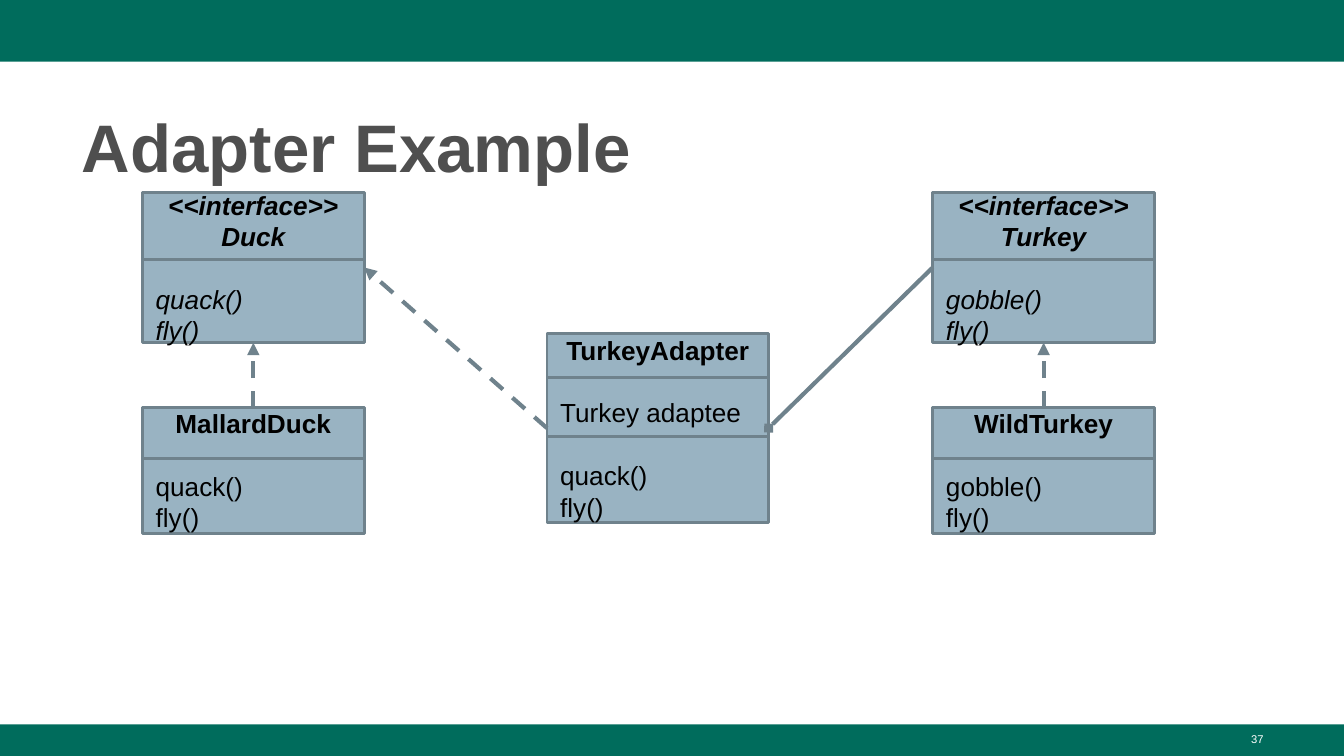
from pptx import Presentation
from pptx.dml.color import RGBColor
from pptx.enum import dml, shapes, text
from pptx.oxml.ns import qn
from pptx.util import Pt
from lxml import etree

THEME = dict(font="Arial", band="006C5C", title="4F4F4F", fill="99B3C2",
             line="6F828C", ink="000000", page="FFFFFF",
             head=36, body=14, small=6, thin=1.5, thick=2.25)
WIDE, HIGH = 720, 405
BANDS = [(0, 33.1), (388.1, 16.9)]  # top, height
TITLE = "Adapter Example"
PAGE = "37"
BOX = 118.8
GAP = 16.8  # one text line between compartments
LEFT, MID, RIGHT = 76.3, 293, 499.7
UPPER = dict(top=103, high=80.6, rules=[36], slant=True)
LOWER = dict(top=218.2, high=67.7, rules=[27.6], slant=False)
ADAPT = dict(top=178.6, high=101.5, rules=[23.8, 55.4], slant=False)

# key: (left, row, compartments)
CLASSES = {
    "duck": (LEFT, UPPER, [["<<interface>> Duck"], ["quack()", "fly()"]]),
    "mallard": (LEFT, LOWER, [["MallardDuck"], ["quack()", "fly()"]]),
    "turkey": (RIGHT, UPPER, [["<<interface>> Turkey"], ["gobble()", "fly()"]]),
    "wild": (RIGHT, LOWER, [["WildTurkey"], ["gobble()", "fly()"]]),
    "adapter": (MID, ADAPT, [["TurkeyAdapter"], ["Turkey adaptee"],
                             ["quack()", "fly()"]]),
}
TOP, WEST, SOUTH, EAST = range(4)
# from, side, to, side, dashed, end tag, end type
LINKS = [
    ("mallard", TOP, "duck", SOUTH, True, "a:tailEnd", "triangle"),
    ("wild", TOP, "turkey", SOUTH, True, "a:tailEnd", "triangle"),
    ("adapter", WEST, "duck", EAST, True, "a:tailEnd", "triangle"),
    ("adapter", EAST, "turkey", WEST, False, "a:headEnd", "diamond"),
]


def tint(name):
    return RGBColor.from_string(THEME[name])


def style(para, size, color, bold=False, slant=False):
    font = para.font
    font.name, font.size = THEME["font"], Pt(THEME[size])
    font.bold, font.italic = bold, slant
    font.color.rgb = tint(color)


def rect(slide, left, top, wide, high, fill):
    box = slide.shapes.add_shape(shapes.MSO_SHAPE.RECTANGLE,
                                 Pt(left), Pt(top), Pt(wide), Pt(high))
    box.shadow.inherit = False
    box.fill.solid()
    box.fill.fore_color.rgb = tint(fill)
    box.line.fill.background()
    return box


def line(slide, x1, y1, x2, y2, width):
    link = slide.shapes.add_connector(shapes.MSO_CONNECTOR.STRAIGHT,
                                      Pt(x1), Pt(y1), Pt(x2), Pt(y2))
    link.line.color.rgb = tint("line")
    link.line.width = Pt(THEME[width])
    etree.SubElement(link._element.spPr, qn("a:effectLst"))
    return link


def draw_class(slide, left, row, parts):
    """Draw one class box with its compartments and divider lines."""
    box = rect(slide, left, row["top"], BOX, row["high"], "fill")
    box.line.color.rgb = tint("line")
    box.line.width = Pt(THEME["thin"])
    frame = box.text_frame
    frame.word_wrap = True
    frame.vertical_anchor = text.MSO_ANCHOR.MIDDLE
    frame.margin_left = frame.margin_right = Pt(7.2)
    frame.margin_top = frame.margin_bottom = Pt(7.2)
    for i, part in enumerate(parts):
        for j, words in enumerate(part):
            first = i == 0
            para = frame.paragraphs[0] if first else frame.add_paragraph()
            para.text = words
            para.alignment = text.PP_ALIGN.CENTER if first else text.PP_ALIGN.LEFT
            if i and j == 0:
                para.space_before = Pt(GAP)
            style(para, "body", "ink", first, row["slant"])
    for drop in row["rules"]:
        y = row["top"] + drop
        line(slide, left, y, left + BOX, y, "thin")
    return box


def draw_link(slide, start, side, goal, face, dashed, tag, kind):
    link = line(slide, 0, 0, 0, 0, "thick")
    link.begin_connect(start, side)
    link.end_connect(goal, face)
    if dashed:
        link.line.dash_style = dml.MSO_LINE.DASH
    etree.SubElement(link.line._get_or_add_ln(), qn(tag), type=kind)


def main():
    deck = Presentation()
    deck.slide_width, deck.slide_height = Pt(WIDE), Pt(HIGH)
    slide = deck.slides.add_slide(deck.slide_layouts[5])
    for top, high in BANDS:
        rect(slide, 0, top, WIDE, high, "band")

    title = slide.shapes.title
    title.left, title.top = Pt(36.7), Pt(48.2)
    title.width, title.height = Pt(647.3), Pt(52.6)
    frame = title.text_frame
    frame.text = TITLE
    frame.auto_size = text.MSO_AUTO_SIZE.NONE
    frame.vertical_anchor = text.MSO_ANCHOR.BOTTOM
    frame.margin_bottom = Pt(1)
    para = frame.paragraphs[0]
    para.alignment = text.PP_ALIGN.LEFT
    para.line_spacing = 1.08
    style(para, "head", "title", True)

    boxes = {key: draw_class(slide, *data) for key, data in CLASSES.items()}
    for start, side, goal, *rest in LINKS:
        draw_link(slide, boxes[start], side, boxes[goal], *rest)

    page = slide.shapes.add_textbox(Pt(516.2), Pt(388.8), Pt(167.8), Pt(16.6))
    page.text_frame.word_wrap = True
    para = page.text_frame.paragraphs[0]
    para.text = PAGE
    para.alignment = text.PP_ALIGN.RIGHT
    style(para, "small", "page")
    deck.save("out.pptx")


if __name__ == "__main__":
    main()
